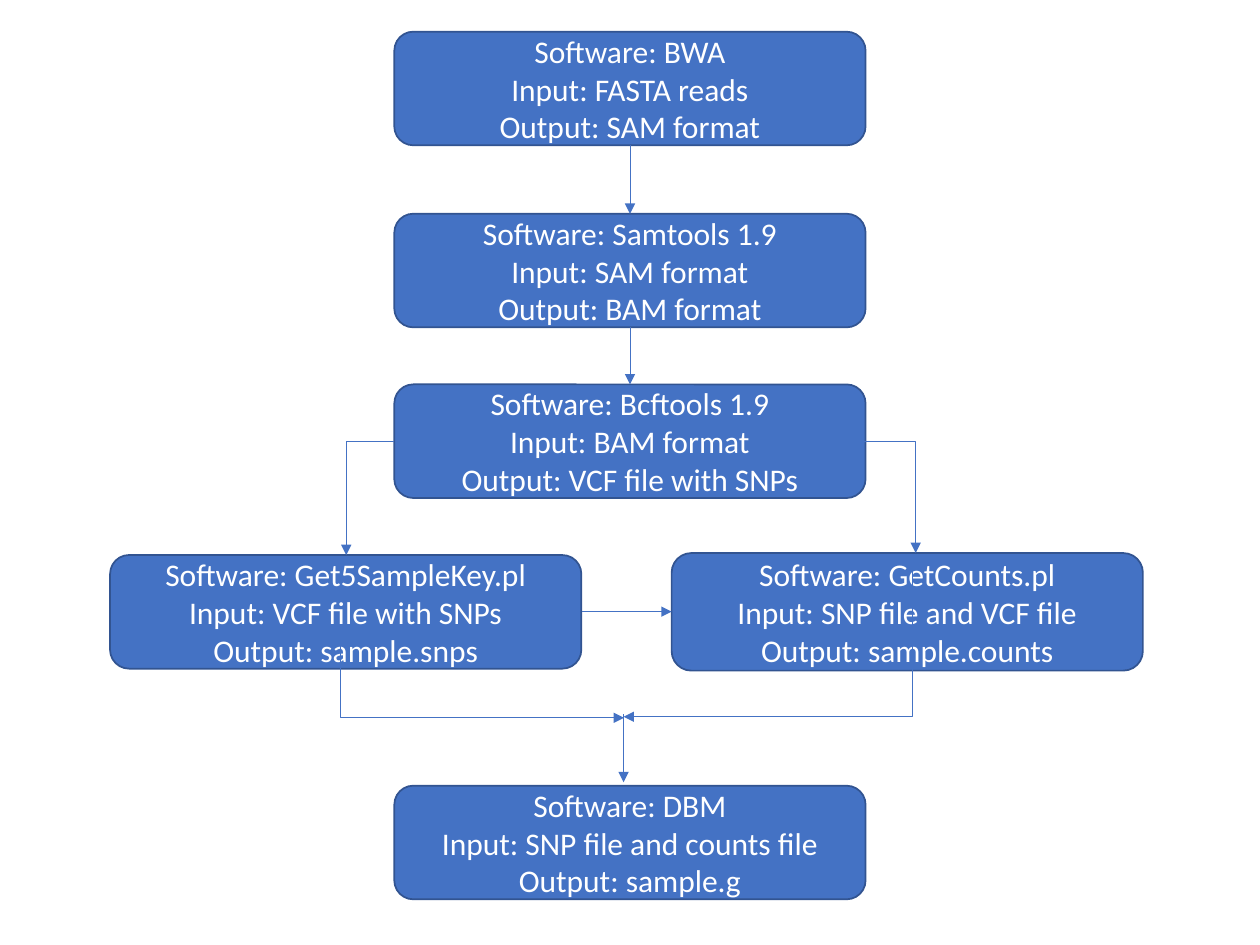
from dataclasses import dataclass

from lxml.etree import SubElement
from pptx import Presentation
from pptx.dml.color import RGBColor
from pptx.enum.shapes import MSO_CONNECTOR, MSO_SHAPE
from pptx.enum.text import MSO_ANCHOR, PP_ALIGN
from pptx.oxml.ns import qn
from pptx.util import Cm, Pt

COLORS = {"fill": "4472C4", "outline": "325491", "text": "FFFFFF"}
FONT = "Calibri"
BOX_WIDTH = 9.5
CENTER_LEFT = 7.95
CENTER_X = 12.7
MERGE_X = 12.57


@dataclass
class Step:
    left: float
    top: float
    software: str
    source: str
    result: str
    height: float = 2.29


@dataclass
class Arrow:
    start_x: float
    start_y: float
    end_x: float
    end_y: float


@dataclass
class Elbow:
    left: float
    top: float
    width: float
    height: float
    preset: str = "bentConnector2"
    rotation: int = 0
    flip: str = ""
    bend: int = 0


STEPS = [
    Step(CENTER_LEFT, 0.64, "BWA", "FASTA reads", "SAM format"),
    Step(CENTER_LEFT, 4.31, "Samtools 1.9", "SAM format", "BAM format"),
    Step(CENTER_LEFT, 7.75, "Bcftools 1.9", "BAM format", "VCF file with SNPs"),
    Step(2.22, 11.19, "Get5SampleKey.pl", "VCF file with SNPs", "sample.snps"),
    Step(CENTER_LEFT, 15.84, "DBM", "SNP file and counts file", "sample.g"),
    Step(13.54, 11.15, "GetCounts.pl", "SNP file and VCF file", "sample.counts", 2.37),
]

ARROWS = [
    Arrow(CENTER_X, 2.92, CENTER_X, 4.31),
    Arrow(CENTER_X, 6.59, CENTER_X, 7.75),
    Arrow(11.73, 12.33, 13.54, 12.33),
    Arrow(MERGE_X, 14.4, MERGE_X, 15.77),
]

ELBOWS = [
    Elbow(16.43, 8.89, 2.03, 2.26),
    Elbow(6.98, 8.89, 0.97, 2.3, rotation=180, flip="flipV"),
    Elbow(9.0, 10.89, 1.45, 5.71, rotation=270, flip="flipH"),
    Elbow(MERGE_X, 11.35, 8.55, 3.1, "bentConnector3", 180, "flipV", 31900),
]


def color(name: str) -> RGBColor:
    return RGBColor.from_string(COLORS[name])


def draw_step(slide, step: Step) -> None:
    box = slide.shapes.add_shape(
        MSO_SHAPE.FLOWCHART_ALTERNATE_PROCESS,
        Cm(step.left), Cm(step.top), Cm(BOX_WIDTH), Cm(step.height),
    )
    box.shadow.inherit = False
    box.fill.solid()
    box.fill.fore_color.rgb = color("fill")
    box.line.color.rgb = color("outline")
    box.line.width = Pt(1)
    frame = box.text_frame
    frame.word_wrap = True
    frame.vertical_anchor = MSO_ANCHOR.MIDDLE
    frame.text = f"Software: {step.software}\nInput: {step.source}\nOutput: {step.result}"
    for para in frame.paragraphs:
        para.alignment = PP_ALIGN.CENTER
        for span in para.runs:
            span.font.name = FONT
            span.font.size = Pt(18)
            span.font.color.rgb = color("text")


def draw_arrow(slide, arrow: Arrow, kind=MSO_CONNECTOR.STRAIGHT):
    connector = slide.shapes.add_connector(
        kind, Cm(arrow.start_x), Cm(arrow.start_y), Cm(arrow.end_x), Cm(arrow.end_y)
    )
    connector.line.color.rgb = color("fill")
    connector.line.width = Pt(0.5)
    SubElement(connector.line._get_or_add_ln(), qn("a:tailEnd"), type="triangle")
    SubElement(connector._element.spPr, qn("a:effectLst"))
    return connector


def draw_elbow(slide, elbow: Elbow) -> None:
    bounds = Arrow(elbow.left, elbow.top, elbow.left + elbow.width, elbow.top + elbow.height)
    connector = draw_arrow(slide, bounds, MSO_CONNECTOR.ELBOW)
    properties = connector._element.spPr
    geometry = properties.find(qn("a:prstGeom"))
    geometry.set("prst", elbow.preset)
    transform = properties.find(qn("a:xfrm"))
    if elbow.rotation:
        transform.set("rot", str(elbow.rotation * 60000))
    if elbow.flip:
        transform.set(elbow.flip, "1")
    if elbow.bend:
        guides = geometry.find(qn("a:avLst"))
        SubElement(guides, qn("a:gd"), name="adj1", fmla=f"val {elbow.bend}")


def main() -> None:
    deck = Presentation()
    deck.slide_width = Cm(25.4)
    deck.slide_height = Cm(19.05)
    page = deck.slides.add_slide(deck.slide_layouts[6])
    for step in STEPS:
        draw_step(page, step)
    for arrow in ARROWS:
        draw_arrow(page, arrow)
    for elbow in ELBOWS:
        draw_elbow(page, elbow)
    deck.save("out.pptx")


if __name__ == "__main__":
    main()
